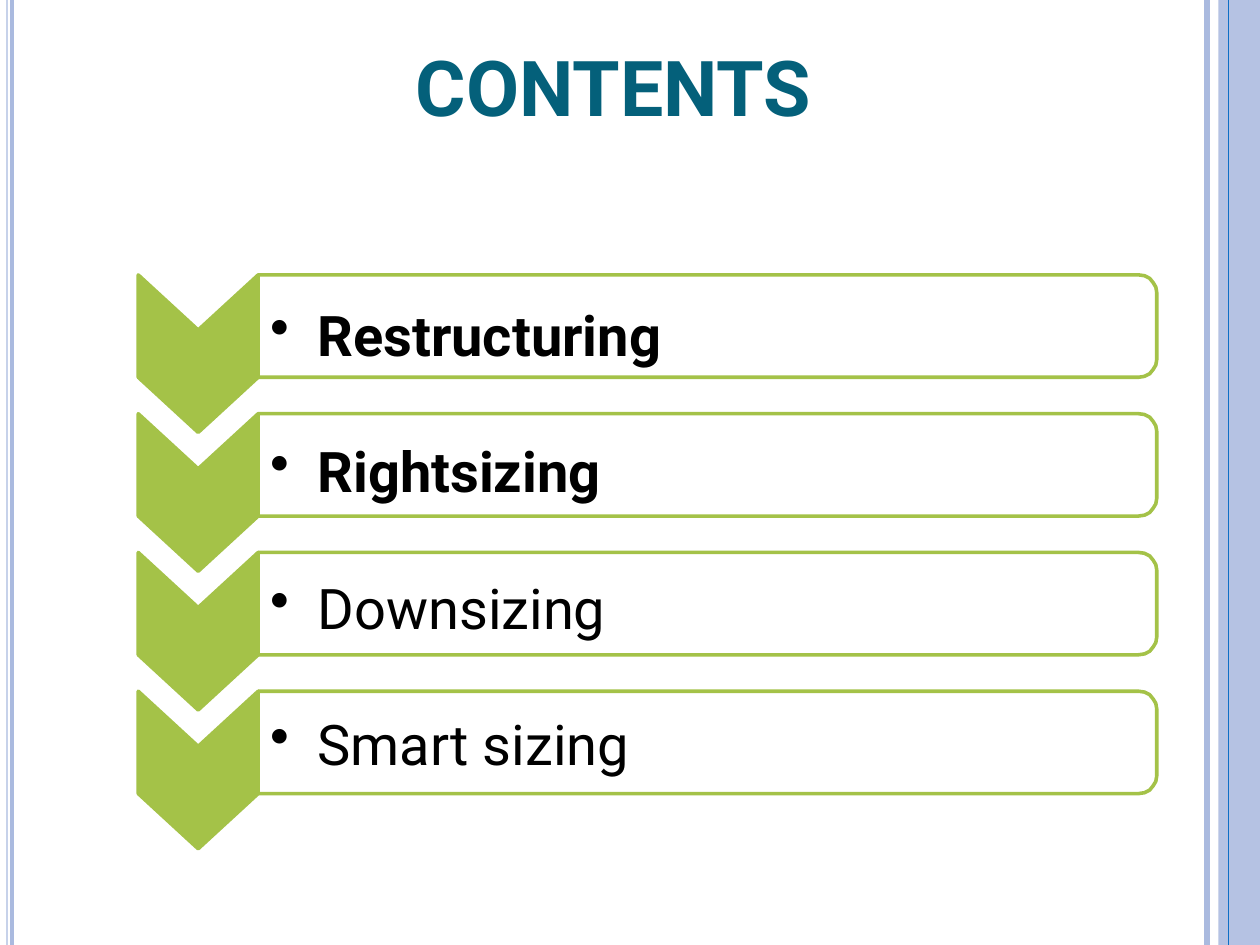
import pptx
import pptx.util
import pptx.dml.color
import pptx.enum.shapes
import pptx.enum.text
import pptx.oxml.ns
import lxml.etree

Pt = pptx.util.Pt
qn = pptx.oxml.ns.qn

SLIDE_WIDTH, SLIDE_HEIGHT = 720, 540
FONT = "Roboto"
LAVENDER, BLUE, TEAL, GREEN = "AABADF", "0E6EC5", "04607A", "A4C248"
TOPICS = [("Restructuring", True), ("Rightsizing", True),
          ("Downsizing", False), ("Smart sizing", False)]

# Chevron list grid
ROW_TOP, ROW_PITCH, ROW_HEIGHT = 157.1, 79.3, 58.5
CHEVRON_LEFT, CHEVRON_RIGHT, CHEVRON_DROP = 79, 147.5, 31.5
ROW_RIGHT = 661


def color(hex_string):
    return pptx.dml.color.RGBColor.from_string(hex_string)


def add_band(slide, left, width, fill, opacity=100):
    """Full-height vertical band."""
    band = slide.shapes.add_shape(
        pptx.enum.shapes.MSO_SHAPE.RECTANGLE,
        Pt(left), Pt(0), Pt(width), Pt(SLIDE_HEIGHT))
    band.shadow.inherit = False
    band.fill.solid()
    band.fill.fore_color.rgb = color(fill)
    band.line.fill.background()
    if opacity < 100:
        srgb = band.fill._xPr.find(".//" + qn("a:srgbClr"))
        lxml.etree.SubElement(srgb, qn("a:alpha"), val=str(opacity * 1000))


def add_rule(slide, x, stroke, width):
    """Full-height vertical line."""
    rule = slide.shapes.add_connector(
        pptx.enum.shapes.MSO_CONNECTOR.STRAIGHT,
        Pt(x), Pt(0), Pt(x), Pt(SLIDE_HEIGHT))
    rule.line.color.rgb = color(stroke)
    rule.line.width = Pt(width)
    lxml.etree.SubElement(rule._element.spPr, qn("a:effectLst"))


def add_outline(slide, points, fill):
    """Closed green-edged polygon through points."""
    corners = [(Pt(x), Pt(y)) for x, y in points]
    builder = slide.shapes.build_freeform(*corners[0])
    builder.add_line_segments(corners[1:], close=True)
    outline = builder.convert_to_shape()
    outline.shadow.inherit = False
    outline.fill.solid()
    outline.fill.fore_color.rgb = color(fill)
    outline.line.color.rgb = color(GREEN)
    outline.line.width = Pt(2.04)


def add_row(slide, top):
    """Downward chevron followed by a panel with rounded right corners."""
    bottom = top + ROW_HEIGHT
    middle = (CHEVRON_LEFT + CHEVRON_RIGHT) / 2
    add_outline(slide, [
        (CHEVRON_RIGHT, top), (CHEVRON_RIGHT, bottom),
        (middle, bottom + CHEVRON_DROP), (CHEVRON_LEFT, bottom),
        (CHEVRON_LEFT, top), (middle, top + CHEVRON_DROP)], GREEN)

    # Insets from the right edge and from the top or bottom edge
    corner = [(10.4, 0), (7, 0.5), (4, 2), (2, 4.5), (0.5, 7), (0, 10)]
    upper = [(ROW_RIGHT - dx, top + dy) for dx, dy in corner]
    lower = [(ROW_RIGHT - dx, bottom - dy) for dx, dy in reversed(corner)]
    add_outline(slide, [(CHEVRON_RIGHT, top), *upper, *lower,
                        (CHEVRON_RIGHT, bottom)], "FFFFFF")


def prepare_frame(frame, top_inset):
    frame.word_wrap = True
    frame.auto_size = pptx.enum.text.MSO_AUTO_SIZE.NONE
    frame.vertical_anchor = pptx.enum.text.MSO_ANCHOR.TOP
    frame.margin_left = frame.margin_right = frame.margin_bottom = Pt(0)
    frame.margin_top = Pt(top_inset)


def write_text(paragraph, text, size, fill, bold=False, space_before=0,
               bulleted=False):
    paragraph.text = text
    paragraph.alignment = pptx.enum.text.PP_ALIGN.LEFT
    paragraph.space_before = Pt(space_before)
    if bulleted:
        properties = paragraph._p.get_or_add_pPr()
        properties.set("marL", str(Pt(28)))
        properties.set("indent", str(Pt(-27)))
        lxml.etree.SubElement(properties, qn("a:buChar"), char="•")
    font = paragraph.runs[0].font
    font.name = FONT
    font.size = Pt(size)
    font.bold = bold
    font.color.rgb = color(fill)


def add_title(slide, text):
    title = slide.shapes.title
    title.left, title.top = Pt(237.6), Pt(20.9)
    title.width, title.height = Pt(244), Pt(54.7)
    prepare_frame(title.text_frame, 1.7)
    write_text(title.text_frame.paragraphs[0], text, 44, TEAL, bold=True)


def add_topics(slide):
    box = slide.shapes.add_textbox(Pt(153.4), Pt(169.2), Pt(478.8), Pt(273.6))
    frame = box.text_frame
    prepare_frame(frame, 2.5)
    for index, (topic, bold) in enumerate(TOPICS):
        paragraph = frame.add_paragraph() if index else frame.paragraphs[0]
        write_text(paragraph, topic, 32, "000000", bold=bold, bulleted=True,
                   space_before=39.6 if index else 0)


def main():
    presentation = pptx.Presentation()
    presentation.slide_width = Pt(SLIDE_WIDTH)
    presentation.slide_height = Pt(SLIDE_HEIGHT)
    slide = presentation.slides.add_slide(presentation.slide_layouts[5])

    # Decorative edges
    add_rule(slide, 689.8, LAVENDER, 3)
    add_band(slide, 3.6, 0.8, LAVENDER)
    add_band(slide, 5.8, 2.2, LAVENDER)
    add_band(slide, 696.2, 23.8, LAVENDER, opacity=87)
    add_rule(slide, 702, BLUE, 0.72)

    # Title and chevron list
    add_title(slide, "CONTENTS")
    for index in range(len(TOPICS)):
        add_row(slide, ROW_TOP + index * ROW_PITCH)
    add_topics(slide)

    presentation.save("out.pptx")


if __name__ == "__main__":
    main()
